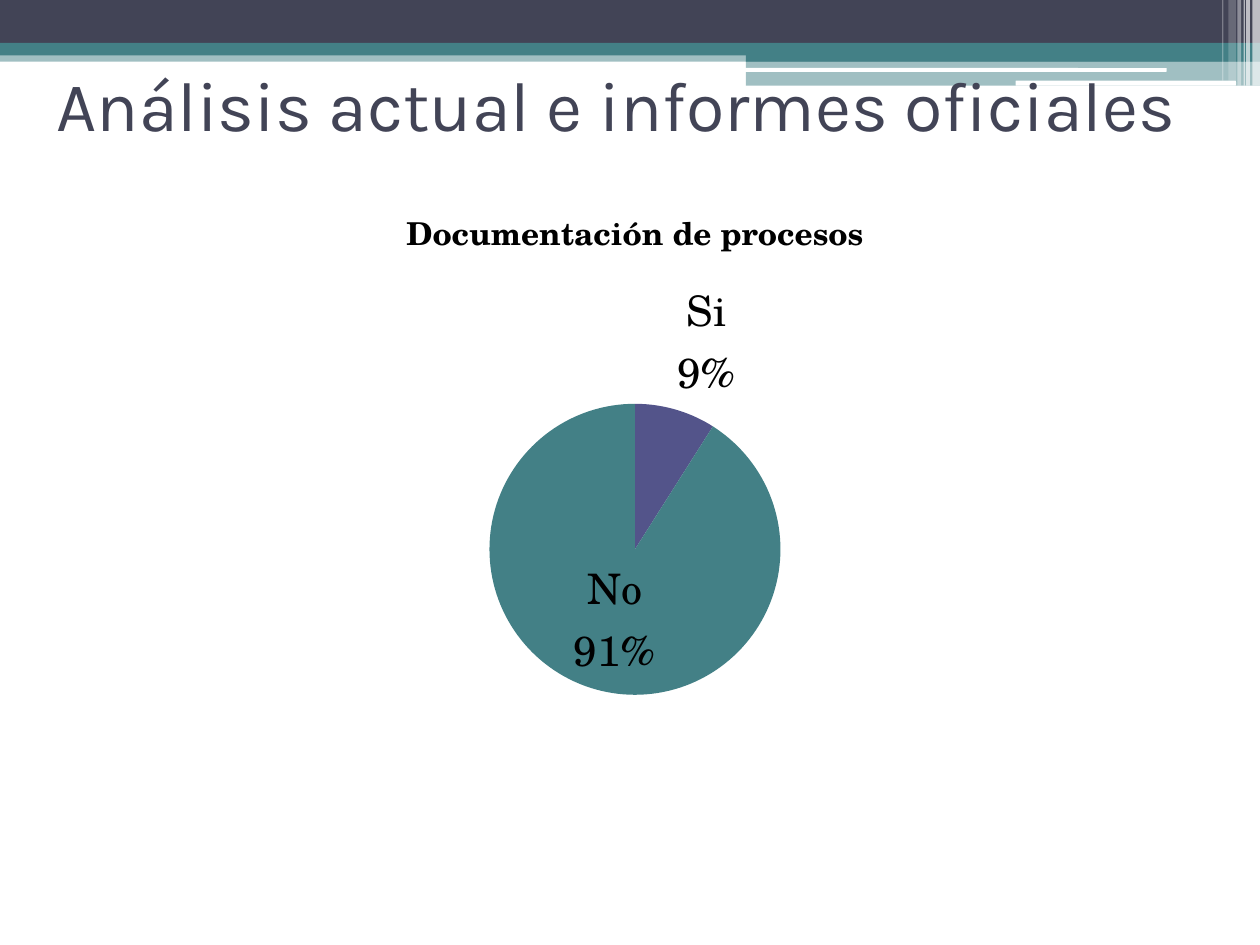
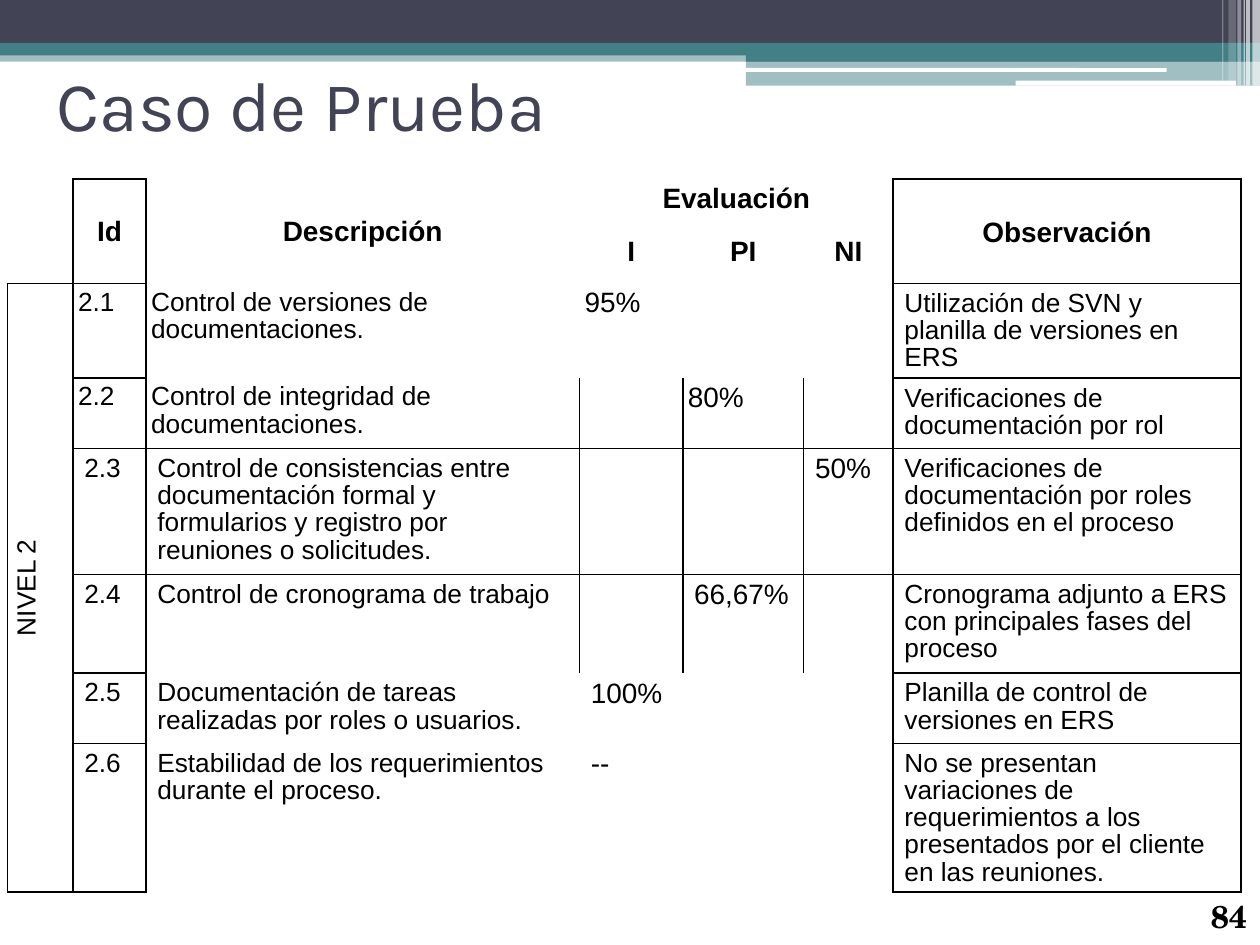
import pptx
import pptx.chart.data
import pptx.dml.color
import pptx.enum.chart
import pptx.enum.shapes
import pptx.enum.text
import pptx.oxml
import pptx.oxml.ns
import pptx.util
from pptx.util import Inches

RECT = pptx.enum.shapes.MSO_SHAPE.RECTANGLE
ROUNDED = pptx.enum.shapes.MSO_SHAPE.ROUNDED_RECTANGLE
MIDDLE = pptx.enum.text.MSO_ANCHOR.MIDDLE
TOP = pptx.enum.text.MSO_ANCHOR.TOP
CENTER = pptx.enum.text.PP_ALIGN.CENTER
LEFT = pptx.enum.text.PP_ALIGN.LEFT
LABEL = pptx.enum.chart.XL_LABEL_POSITION

DARK, TEAL, PURPLE = "424456", "438086", "53548A"
WHITE, BLACK = "FFFFFF", "000000"
TIGHT = (0.04, 0.05, 0.04, 0.02)
WIDE = (0.09, 0.06, 0.09, 0.02)

# left, top, width, height, colour, opacity in percent
BANDS = [
    (0, 0.4, 10, 0.09, TEAL, 50),
    (0, 0, 10, 0.34, DARK, 100),
    (0, 0.34, 10, 0.1, TEAL, 100),
    (5.92, 0.39, 4.08, 0.1, TEAL, 100),
    (5.92, 0.48, 4.08, 0.2, TEAL, 50),
]
WHITE_BARS = [(5.91, 0.54, 3.35, 0.03), (8.06, 0.64, 1.75, 0.04)]
# left, width, height, opacity in percent
STRIPES = [
    (9.94, 0.06, 0.68, 65), (9.89, 0.03, 0.68, 65), (9.87, 0.01, 0.68, 60),
    (9.82, 0.03, 0.68, 40), (9.75, 0.06, 0.64, 20), (9.7, 0.01, 0.64, 30),
]

COLUMN_WIDTHS = [0.52, 0.58, 3.44, 0.82, 0.96, 0.71, 2.76]
ROW_HEIGHTS = [0.42, 0.41, 0.75, 0.56, 1.0, 0.78, 0.56, 1.18]
HEADERS = [
    ["", "Id", "Descripción", "Evaluación", "", "", "Observación"],
    ["", "", "", "I", "PI", "NI", ""],
]
# id, description, evaluation column, evaluation, remark
CONTROLS = [
    ("2.1", "Control de versiones de documentaciones.", 3, "95%",
     "Utilización de SVN y planilla de versiones en ERS"),
    ("2.2", "Control de integridad de documentaciones.", 4, "80%",
     "Verificaciones de documentación por rol"),
    ("2.3", "Control de consistencias entre documentación formal y formularios "
     "y registro por reuniones o solicitudes.", 5, "50%",
     "Verificaciones de documentación por roles definidos en el proceso"),
    ("2.4", "Control de cronograma de trabajo", 4, "66,67%",
     "Cronograma adjunto a ERS con principales fases del proceso"),
    ("2.5", "Documentación de tareas realizadas por roles o usuarios.", 3, "100%",
     "Planilla de control de versiones en ERS"),
    ("2.6", "Estabilidad de los requerimientos durante el proceso.", 3, "--",
     "No se presentan variaciones de requerimientos a los presentados por el "
     "cliente en las reuniones."),
]
MERGES = [((0, 1), (1, 1)), ((0, 2), (1, 2)), ((0, 3), (0, 5)),
          ((0, 6), (1, 6)), ((2, 0), (7, 0))]


def color(value):
    return pptx.dml.color.RGBColor.from_string(value)


def control_rows():
    """Spread the controls over the seven table columns."""
    rows = []
    for number, description, column, score, remark in CONTROLS:
        row = ["", number, description, "", "", "", remark]
        row[column] = score
        rows.append(row)
    rows[0][0] = "NIVEL 2"
    return rows


def visible_borders(row, column):
    """Tell which sides (L, R, T, B) of a table cell carry a line."""
    if column == 0:
        return {"L": row > 1, "R": True, "T": row > 1, "B": row > 0}
    if column in (1, 6):
        return dict.fromkeys("LRTB", True)
    gridded = row in (3, 4, 5)
    return {"L": column == 2 or gridded, "R": column == 5 or gridded,
            "T": row in (4, 5), "B": row in (3, 4)}


def show_category_and_percent(labels):
    """Set the content flags of a c:dLbls or c:dLbl element."""
    for flag in ("LegendKey", "Val", "CatName", "SerName", "Percent"):
        element = labels.find(pptx.oxml.ns.qn("c:show" + flag))
        element.set("val", "1" if flag in ("CatName", "Percent") else "0")
    separator = pptx.oxml.parse_xml(
        f'<c:separator {pptx.oxml.ns.nsdecls("c")}>\n</c:separator>')
    last_flag = labels.find(pptx.oxml.ns.qn("c:showBubbleSize"))
    if last_flag is None:
        last_flag = element
    last_flag.addnext(separator)


class SlideBuilder:
    """Holds the shared style and the slide being built."""

    title_font, body_font, table_font = "Karla", "TeX Gyre Schola", "Arial"

    def __init__(self, deck):
        self.deck = deck
        self.slide = None

    def start(self, title):
        self.slide = self.deck.slides.add_slide(self.deck.slide_layouts[6])
        for *place, fill, opacity in BANDS:
            self.band(RECT, place, fill, opacity)
        for place in WHITE_BARS:
            self.band(ROUNDED, place, WHITE)
        for left, width, height, opacity in STRIPES:
            self.band(RECT, (left, 0, width, height), WHITE, opacity)
        frame = self.text((0.36, 0.13, 9.29, 1.39), title, 40, self.title_font, DARK)
        frame.vertical_anchor = MIDDLE

    def band(self, kind, place, fill, opacity=100):
        shape = self.slide.shapes.add_shape(kind, *map(Inches, place))
        shape.shadow.inherit = False
        shape.line.fill.background()
        shape.fill.solid()
        shape.fill.fore_color.rgb = color(fill)
        if opacity < 100:
            value = shape.fill._xPr.find(".//" + pptx.oxml.ns.qn("a:srgbClr"))
            value.append(pptx.oxml.parse_xml(
                f'<a:alpha {pptx.oxml.ns.nsdecls("a")} val="{opacity * 1000}"/>'))

    def style(self, font, size, name, fill=BLACK, bold=False):
        font.size = pptx.util.Pt(size)
        font.name = name
        font.bold = bold
        font.color.rgb = color(fill)

    def text(self, place, words, size, font, fill=BLACK, bold=False, wrap=True):
        box = self.slide.shapes.add_textbox(*map(Inches, place))
        frame = box.text_frame
        frame.word_wrap = wrap
        frame.margin_left = frame.margin_right = Inches(0.09)
        frame.text = words
        self.style(frame.paragraphs[0].runs[0].font, size, font, fill, bold)
        return frame

    def pie(self, place, title, values, fills):
        data = pptx.chart.data.CategoryChartData()
        data.categories = list(values)
        data.add_series("Series 1", list(values.values()))
        chart = self.slide.shapes.add_chart(
            pptx.enum.chart.XL_CHART_TYPE.PIE, *map(Inches, place), data).chart
        self.style(chart.font, 10, self.body_font)
        chart.has_legend = False
        chart.has_title = True
        chart.chart_title.text_frame.text = title
        span = chart.chart_title.text_frame.paragraphs[0].runs[0]
        self.style(span.font, 18, self.body_font, bold=True)

        plot = chart.plots[0]
        plot.vary_by_categories = True
        series = plot.series[0]
        for index, fill in enumerate(fills):
            point = series.points[index].format
            point.fill.solid()
            point.fill.fore_color.rgb = color(fill)
            point.line.fill.background()

        labels = series.data_labels
        small_slice = series.points[0].data_label
        for label, position in ((labels, LABEL.CENTER), (small_slice, LABEL.OUTSIDE_END)):
            self.style(label.font, 24, self.body_font)
            label.position = position
        show_category_and_percent(labels._element)
        show_category_and_percent(
            labels._element.find(pptx.oxml.ns.qn("c:dLbl")))
        self.place_plot(chart, x=0.36, y=0.34, w=0.28, h=0.44)

    def place_plot(self, chart, **fractions):
        area = chart._chartSpace.find(".//" + pptx.oxml.ns.qn("c:plotArea"))
        for old in area.findall(pptx.oxml.ns.qn("c:layout")):
            area.remove(old)
        sizes = "".join(f'<c:{key} val="{value}"/>' for key, value in fractions.items())
        area.insert(0, pptx.oxml.parse_xml(
            f'<c:layout {pptx.oxml.ns.nsdecls("c")}><c:manualLayout>'
            '<c:layoutTarget val="inner"/><c:xMode val="edge"/><c:yMode val="edge"/>'
            f'{sizes}</c:manualLayout></c:layout>'))

    def control_table(self, left, top):
        rows = HEADERS + control_rows()
        table = self.slide.shapes.add_table(
            len(rows), len(COLUMN_WIDTHS), Inches(left), Inches(top),
            Inches(sum(COLUMN_WIDTHS)), Inches(sum(ROW_HEIGHTS))).table
        table.first_row = table.horz_banding = False
        for column, width in zip(table.columns, COLUMN_WIDTHS):
            column.width = Inches(width)
        for row, height in zip(table.rows, ROW_HEIGHTS):
            row.height = Inches(height)
        for first, last in MERGES:
            table.cell(*first).merge(table.cell(*last))
        for row, texts in enumerate(rows):
            for column, words in enumerate(texts):
                cell = table.cell(row, column)
                self.borders(cell, visible_borders(row, column))
                cell.fill.background()
                if words:
                    self.cell_text(cell, words, row, column)
        table.cell(2, 0)._tc.get_or_add_tcPr().set("vert", "vert270")

    def borders(self, cell, sides):
        properties = cell._tc.get_or_add_tcPr()
        for side, visible in sides.items():
            paint = (f'<a:solidFill><a:srgbClr val="{BLACK}"/></a:solidFill>'
                     if visible else '<a:noFill/>')
            properties.append(pptx.oxml.parse_xml(
                f'<a:ln{side} {pptx.oxml.ns.nsdecls("a")} w="{pptx.util.Pt(1)}">'
                f'{paint}</a:ln{side}>'))

    def cell_text(self, cell, words, row, column):
        header = row < 2
        level = column == 0
        tight = level or (column < 6 and row < 4)
        (cell.margin_left, cell.margin_top, cell.margin_right,
         cell.margin_bottom) = map(Inches, TIGHT if tight else WIDE)
        centred = level or (header and column in (1, 2, 6))
        cell.vertical_anchor = MIDDLE if centred else TOP
        cell.text_frame.text = words
        para = cell.text_frame.paragraphs[0]
        para.alignment = CENTER if header or level else LEFT
        size = 16 if header or column in (3, 4, 5) else 15
        # An exact pitch keeps the rows from growing past their set heights.
        para.line_spacing = pptx.util.Pt(size + 0.5)
        self.style(para.runs[0].font, size, self.table_font, bold=header)


def main():
    deck = pptx.Presentation()
    deck.slide_width, deck.slide_height = Inches(10), Inches(7.5)
    builder = SlideBuilder(deck)

    builder.start("Análisis actual e informes oficiales")
    builder.pie((0.83, 1.42, 8.42, 5.25), "Documentación de procesos",
                {"Si": 9, "No": 91}, [PURPLE, TEAL])

    builder.start("Caso de Prueba")
    builder.text((9.52, 7.07, 0.48, 0.43), "84", 18, builder.body_font,
                 bold=True, wrap=False)
    builder.control_table(0.06, 1.42)

    deck.save("out.pptx")


if __name__ == "__main__":
    main()
